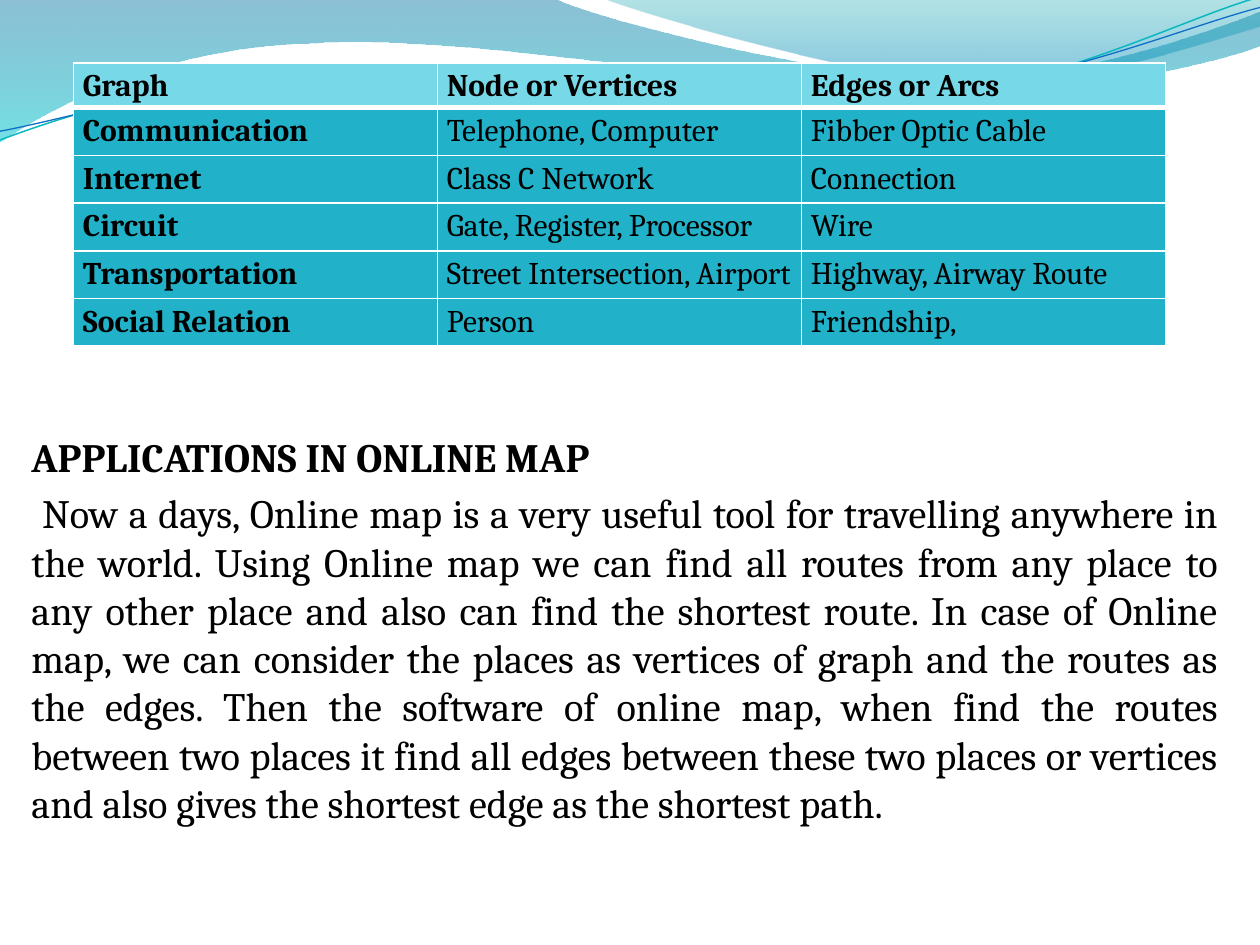
from lxml.etree import SubElement
from pptx import Presentation
from pptx.dml.color import RGBColor
from pptx.enum.text import PP_ALIGN as Align
from pptx.oxml.ns import qn
from pptx.util import Pt

FONT = "Cambria"


def color(hex_string):
    return RGBColor.from_string(hex_string)


def draw_outline(shapes, start, segments, close):
    """Trace segments of one point (a line) or three points (a cubic curve)."""
    points = [(Pt(x), Pt(y)) for segment in segments
              for x, y in zip(segment[::2], segment[1::2])]
    builder = shapes.build_freeform(Pt(start[0]), Pt(start[1]), scale=1.0)
    builder.add_line_segments(points, close=close)
    outline = builder.convert_to_shape()
    outline.shadow.inherit = False

    # Join the three points of each curve into one Bezier element
    steps = iter(list(outline._element.spPr.iter(qn("a:lnTo"))))
    for segment in segments:
        step = next(steps)
        if len(segment) == 6:
            curve = SubElement(step.getparent(), qn("a:cubicBezTo"))
            step.addprevious(curve)
            for part in (step, next(steps), next(steps)):
                curve.append(part[0])
                part.getparent().remove(part)
    return outline


prs = Presentation()
prs.slide_width, prs.slide_height = Pt(720), Pt(540)
slide = prs.slides.add_slide(prs.slide_layouts[6])
shapes = slide.shapes

# Waves along the top edge: start, segments, stops (position, colour, opacity)
waves = [
    ((0, 0),
     [(317, -0.7), (343, 12, 478, 45.4, 546, 45.4), (614, 45.4, 690, 18.7, 720, 6.5),
      (720.7, 26), (708, 31.7, 626, 54.7, 537, 54), (448, 54, 275, 20.2, 185, 24.5),
      (93, 26, 33, 59.8, -0.7, 81.4)],
     [(0, "0074A1", 45), (1, "00C6CF", 55)]),
    ((345, -0.7),
     [(366.5, 8, 491, 44.6, 553.7, 46.8), (616, 49.7, 692, 23, 720, 15), (720, 0)],
     [(0, "00A1A9", 30), (0.8, "008BBF", 45)]),
]
for start, segments, stops in waves:
    wave = draw_outline(shapes, start, segments, True)
    wave.line.fill.background()
    wave.fill.gradient()
    wave.fill.gradient_angle = 270
    for stop, (position, hex_string, _) in zip(wave.fill.gradient_stops, stops):
        stop.position = position
        stop.color.rgb = color(hex_string)
    for tint, (_, _, opacity) in zip(wave._element.spPr.iter(qn("a:srgbClr")), stops):
        SubElement(tint, qn("a:alpha")).set("val", str(opacity * 1000))

# Thin strands crossing the waves
strands = [
    ((0, 80), [(34.6, 67, 114, 41, 199.4, 37.4), (284.4, 33.8, 427, 64, 513.4, 57.6),
               (600, 51, 675.4, 10.8, 718.6, -1.4)], "0AB8BF", 0.85),
    ((0, 75), [(33.8, 69, 118, 44, 203.8, 40.3), (290, 36.7, 430, 60.5, 516.2, 54),
               (602, 48.2, 677.5, 15, 720, 4.3)], "0F6FC6", 0.75),
]
for start, segments, hex_string, width in strands:
    strand = draw_outline(shapes, start, segments, False)
    strand.fill.background()
    strand.line.color.rgb = color(hex_string)
    strand.line.width = Pt(width)

# Applications text
applications = shapes.add_textbox(Pt(18), Pt(247), Pt(684), Pt(235)).text_frame
applications.word_wrap = True
applications.margin_left = applications.margin_top = applications.margin_bottom = 0
applications.margin_right = Pt(5)
heading = applications.paragraphs[0]
heading.text = "APPLICATIONS IN ONLINE MAP"
body = applications.add_paragraph()
body.text = (
    " Now a days, Online map is a very useful tool for travelling anywhere in the world. "
    "Using Online map we can find all routes from any place to any other place and also can "
    "find the shortest route. In case of Online map, we can consider the places as vertices "
    "of graph and the routes as the edges. Then the software of online map, when find the "
    "routes between two places it find all edges between these two places or vertices and "
    "also gives the shortest edge as the shortest path.")
body.space_before = Pt(4.6)
for paragraph in (heading, body):
    paragraph.alignment = Align.JUSTIFY
    font = paragraph.runs[0].font
    font.name, font.size, font.bold = FONT, Pt(23), paragraph is heading
    font.color.rgb = color("000000")

# Table of graph examples
examples = [
    ("Graph", "Node or Vertices", "Edges or Arcs"),
    ("Communication", "Telephone, Computer", "Fibber Optic Cable"),
    ("Internet", "Class C Network", "Connection"),
    ("Circuit", "Gate, Register, Processor", "Wire"),
    ("Transportation", "Street Intersection, Airport", "Highway, Airway Route"),
    ("Social Relation", "Person", "Friendship,"),
]
table = shapes.add_table(len(examples), 3, Pt(42), Pt(36), Pt(624), Pt(162)).table
table.first_row = table.horz_banding = False
for column in table.columns:
    column.width = Pt(208)
for r, example in enumerate(examples):
    table.rows[r].height = Pt(27.25 if r else 25.6)
    for c, entry in enumerate(example):
        cell = table.cell(r, c)
        cell.margin_left = cell.margin_right = Pt(5.4)
        cell.margin_top = cell.margin_bottom = 0

        # White borders, thick under the header
        for side in ("lnL", "lnR", "lnT", "lnB"):
            thick = (r, side) in ((0, "lnB"), (1, "lnT"))
            border = SubElement(cell._tc.get_or_add_tcPr(), qn(f"a:{side}"))
            border.set("w", str(Pt(3 if thick else 1)))
            border_fill = SubElement(border, qn("a:solidFill"))
            SubElement(border_fill, qn("a:srgbClr")).set("val", "FFFFFF")
        cell.fill.solid()
        cell.fill.fore_color.rgb = color("21B2C9" if r else "77D9E8")

        cell.text_frame.text = entry
        paragraph = cell.text_frame.paragraphs[0]
        paragraph.line_spacing = 1.15
        font = paragraph.runs[0].font
        font.name, font.size, font.bold = FONT, Pt(18), r == 0 or c == 0
        font.color.rgb = color("000000")

prs.save("out.pptx")
